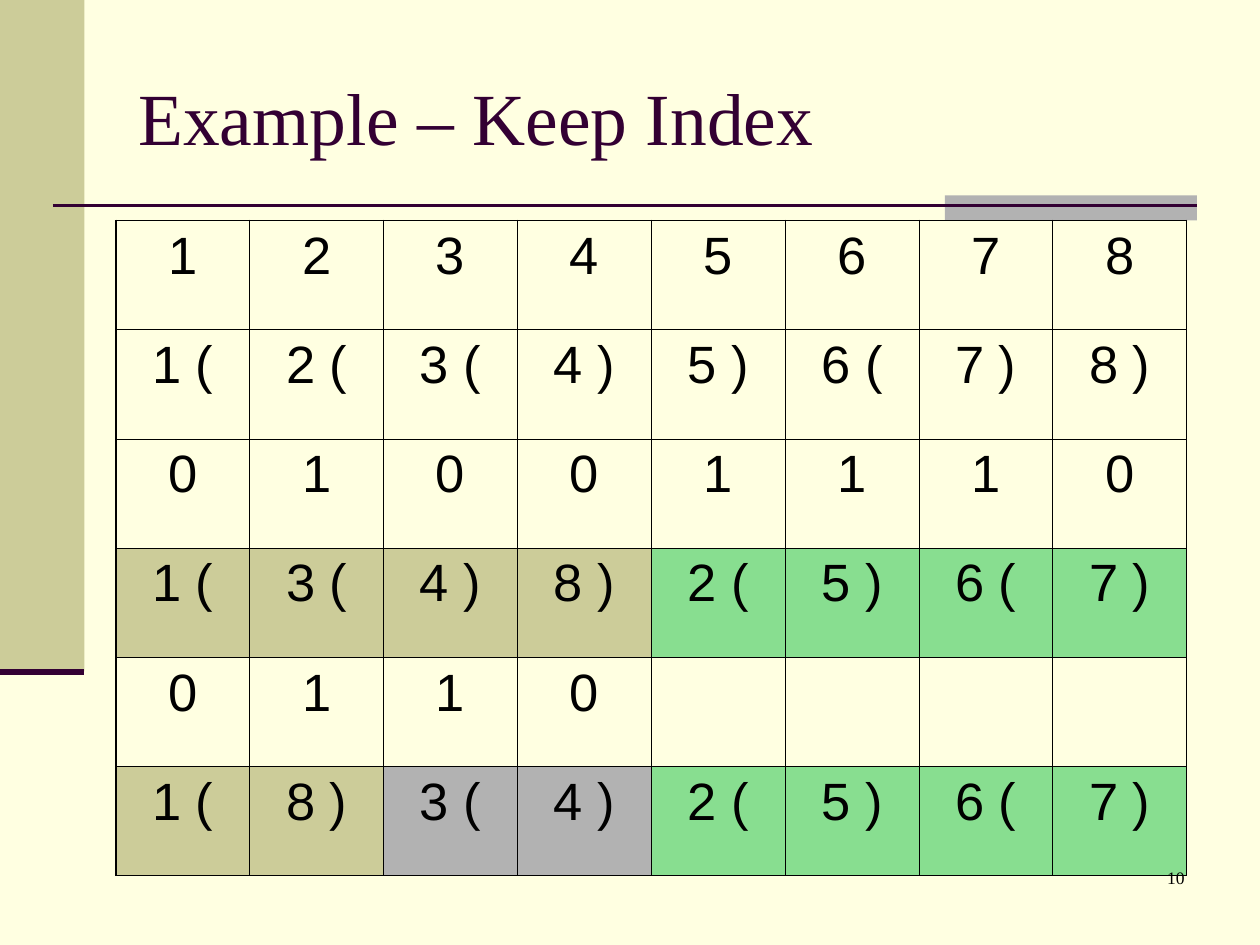
from lxml.etree import SubElement
from pptx import Presentation
from pptx.dml.color import RGBColor
from pptx.enum.shapes import MSO_CONNECTOR, MSO_SHAPE
from pptx.enum.text import MSO_ANCHOR, PP_ALIGN
from pptx.oxml import parse_xml
from pptx.oxml.ns import nsdecls, qn
from pptx.util import Inches, Pt


def color(value):
    return RGBColor.from_string(value)


class SlideBuilder:
    background = "FFFFE1"
    accent = "330033"
    khaki = "CCCC99"
    green = "88DE90"
    gray = "B2B2B2"
    black = "000000"
    serif = "Times New Roman"
    sans = "Arial"
    inner_border = 0.45
    outer_border = 1.08

    def __init__(self, presentation):
        self.slide = presentation.slides.add_slide(presentation.slide_layouts[6])
        fill = self.slide.background.fill
        fill.solid()
        fill.fore_color.rgb = color(self.background)

    def style(self, paragraph, size, name, value, alignment):
        paragraph.alignment = alignment
        paragraph.font.size = Pt(size)
        paragraph.font.name = name
        paragraph.font.color.rgb = color(value)

    def rectangle(self, left, top, width, height, value):
        shape = self.slide.shapes.add_shape(
            MSO_SHAPE.RECTANGLE, Inches(left), Inches(top), Inches(width), Inches(height)
        )
        shape.shadow.inherit = False
        shape.fill.solid()
        shape.fill.fore_color.rgb = color(value)
        shape.line.fill.background()

    def rule(self, left, right, top, weight):
        connector = self.slide.shapes.add_connector(
            MSO_CONNECTOR.STRAIGHT, Inches(left), Inches(top), Inches(right), Inches(top)
        )
        connector.line.color.rgb = color(self.accent)
        connector.line.width = Pt(weight)
        SubElement(connector._element.spPr, qn("a:effectLst"))

    def text(self, left, top, width, height, content, size, value,
             alignment=PP_ALIGN.LEFT, anchor=MSO_ANCHOR.TOP):
        box = self.slide.shapes.add_textbox(
            Inches(left), Inches(top), Inches(width), Inches(height)
        )
        frame = box.text_frame
        frame.word_wrap = True
        frame.vertical_anchor = anchor
        frame.text = content
        self.style(frame.paragraphs[0], size, self.serif, value, alignment)

    def borders(self, cell, outer_sides):
        properties = cell._tc.get_or_add_tcPr()
        for position, side in enumerate("LRTB"):
            weight = self.outer_border if side in outer_sides else self.inner_border
            properties.insert(position, parse_xml(
                f'<a:ln{side} {nsdecls("a")} w="{Pt(weight)}"><a:solidFill>'
                f'<a:srgbClr val="{self.black}"/></a:solidFill></a:ln{side}>'
            ))

    def table(self, left, top, width, height, rows, fills):
        row_count, column_count = len(rows), len(rows[0])
        table = self.slide.shapes.add_table(
            row_count, column_count, Inches(left), Inches(top), Inches(width), Inches(height)
        ).table
        table.first_row = table.horz_banding = False
        for row, values in enumerate(rows):
            for column, value in enumerate(values):
                cell = table.cell(row, column)
                cell.text = value
                paragraph = cell.text_frame.paragraphs[0]
                paragraph.space_before = Pt(7.5)
                self.style(paragraph, 30, self.sans, self.black, PP_ALIGN.CENTER)
                if row in fills:
                    cell.fill.solid()
                    cell.fill.fore_color.rgb = color(fills[row][column])
                else:
                    cell.fill.background()
                edges = {"L": column == 0, "R": column == column_count - 1,
                         "T": row == 0, "B": row == row_count - 1}
                self.borders(cell, [side for side, outer in edges.items() if outer])


def main():
    presentation = Presentation()
    presentation.slide_width = Inches(10)
    presentation.slide_height = Inches(7.5)
    builder = SlideBuilder(presentation)

    builder.rectangle(0, 0, 0.67, 5.33, builder.khaki)
    builder.rectangle(7.5, 1.55, 2, 0.2, builder.gray)
    builder.rule(0.42, 9.5, 1.63, 1.5)
    builder.rule(0, 0.67, 5.33, 3.5)
    builder.text(1, 0.3, 8.5, 1.25, "Example – Keep Index", 42, builder.accent,
                 anchor=MSO_ANCHOR.MIDDLE)

    rows = [
        ["1", "2", "3", "4", "5", "6", "7", "8"],
        ["1 (", "2 (", "3 (", "4 )", "5 )", "6 (", "7 )", "8 )"],
        ["0", "1", "0", "0", "1", "1", "1", "0"],
        ["1 (", "3 (", "4 )", "8 )", "2 (", "5 )", "6 (", "7 )"],
        ["0", "1", "1", "0", "", "", "", ""],
        ["1 (", "8 )", "3 (", "4 )", "2 (", "5 )", "6 (", "7 )"],
    ]
    fills = {
        3: [builder.khaki] * 4 + [builder.green] * 4,
        5: [builder.khaki] * 2 + [builder.gray] * 2 + [builder.green] * 4,
    }
    builder.table(0.92, 1.75, 8.5, 5.2, rows, fills)
    builder.text(7.42, 6.83, 2.08, 0.5, "10", 10, builder.black, PP_ALIGN.RIGHT)

    presentation.save("out.pptx")


if __name__ == "__main__":
    main()
